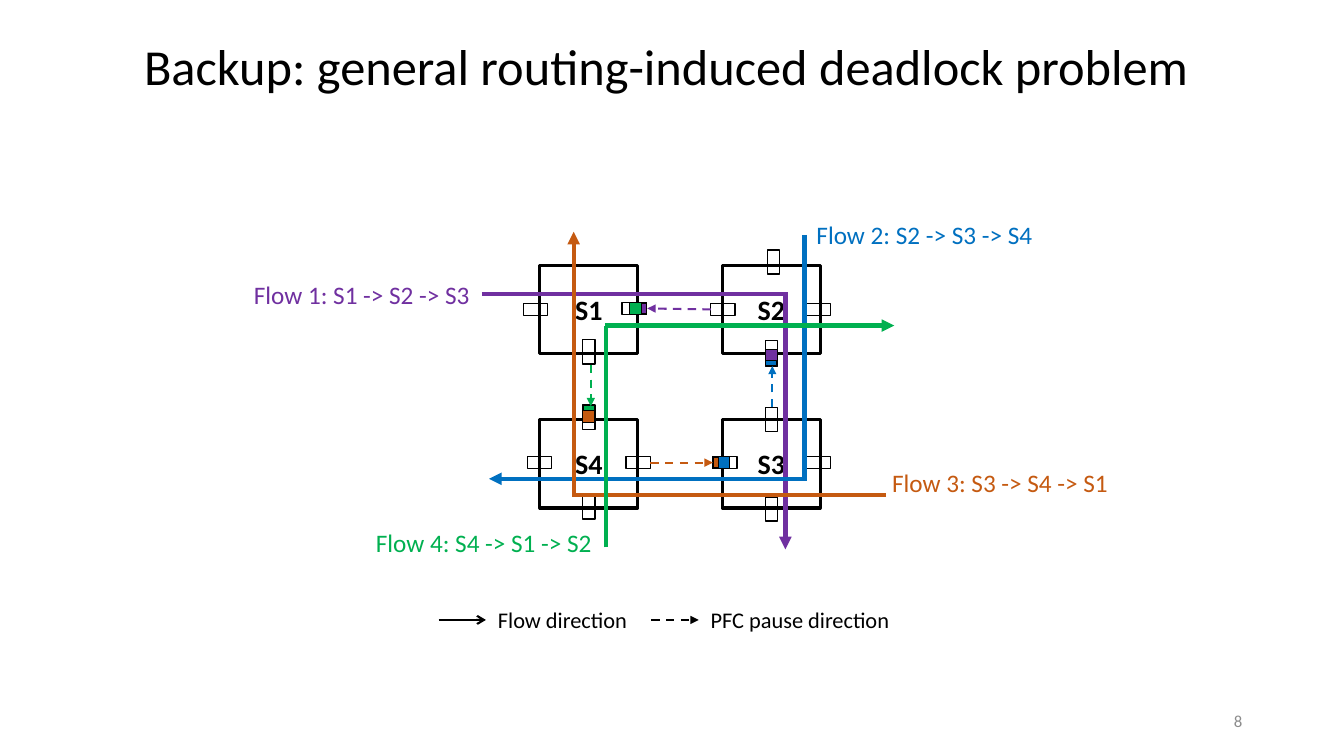
from pptx import Presentation
from pptx.dml.color import RGBColor
from pptx.enum.dml import MSO_LINE
from pptx.enum.shapes import MSO_CONNECTOR, MSO_SHAPE
from pptx.enum.text import MSO_ANCHOR, PP_ALIGN
from pptx.oxml.ns import qn
from pptx.util import Inches, Pt
from lxml.etree import SubElement

BLACK = RGBColor(0x00, 0x00, 0x00)
GRAY = RGBColor(0x8C, 0x8C, 0x8C)
PURPLE = RGBColor(0x70, 0x30, 0xA0)
BLUE = RGBColor(0x00, 0x70, 0xC0)
ORANGE = RGBColor(0xC5, 0x5A, 0x11)
GREEN = RGBColor(0x00, 0xB0, 0x50)


class Diagram:
    font_name = "Calibri"

    def __init__(self, slide):
        self.slide = slide

    def set_text(self, frame, text, size, color=BLACK, align=PP_ALIGN.LEFT,
                 anchor=MSO_ANCHOR.TOP, bold=False, wrap=False):
        frame.text = text
        for name, value in {"word_wrap": wrap, "vertical_anchor": anchor}.items():
            setattr(frame, name, value)
        paragraph = frame.paragraphs[0]
        paragraph.alignment = align
        font = paragraph.runs[0].font
        for name, value in {"name": self.font_name, "size": Pt(size), "bold": bold}.items():
            setattr(font, name, value)
        font.color.rgb = color

    def title(self, text, left, top, width, height):
        heading = self.slide.shapes.title
        bounds = {"left": left, "top": top, "width": width, "height": height}
        for name, value in bounds.items():
            setattr(heading, name, Inches(value))
        self.set_text(heading.text_frame, text, 36, align=PP_ALIGN.CENTER, wrap=True)

    def label(self, text, left, top, width, height, size, color=BLACK, **style):
        box = self.slide.shapes.add_textbox(*map(Inches, (left, top, width, height)))
        self.set_text(box.text_frame, text, size, color, **style)

    def box(self, center, size, weight=1, fill=None):
        (x, y), (width, height) = center, size
        shape = self.slide.shapes.add_shape(
            MSO_SHAPE.RECTANGLE, Inches(x - width / 2), Inches(y - height / 2),
            Inches(width), Inches(height))
        shape.shadow.inherit = False
        shape.line.color.rgb = BLACK
        shape.line.width = Pt(weight)
        if fill is None:
            shape.fill.background()
        else:
            shape.fill.solid()
            shape.fill.fore_color.rgb = fill
        return shape

    def switch(self, name, center):
        shape = self.box(center, (0.97, 0.88), 2.25)
        self.set_text(shape.text_frame, name, 20, align=PP_ALIGN.CENTER,
                      anchor=MSO_ANCHOR.MIDDLE, bold=True)

    def line(self, start, end, color, weight, arrow=None, dashed=False):
        connector = self.slide.shapes.add_connector(
            MSO_CONNECTOR.STRAIGHT, *map(Inches, (*start, *end)))
        connector.line.color.rgb = color
        connector.line.width = Pt(weight)
        if dashed:
            connector.line.dash_style = MSO_LINE.DASH
        properties = connector._element.spPr
        if arrow:
            SubElement(properties.find(qn("a:ln")), qn("a:tailEnd"), type=arrow)
        SubElement(properties, qn("a:effectLst"))


presentation = Presentation()
presentation.slide_width = Inches(13.33)
presentation.slide_height = Inches(7.5)
diagram = Diagram(presentation.slides.add_slide(presentation.slide_layouts[5]))

diagram.title("Backup: general routing-induced deadlock problem", 0.55, 0.3, 12.12, 0.71)
diagram.label("8", 9.42, 6.95, 3, 0.4, 12, GRAY, align=PP_ALIGN.RIGHT,
              anchor=MSO_ANCHOR.MIDDLE, wrap=True)

switches = {"S1": (5.84, 3.07), "S2": (7.65, 3.07), "S3": (7.65, 4.6), "S4": (5.84, 4.6)}
for switch_name, switch_center in switches.items():
    diagram.switch(switch_name, switch_center)

ACROSS, UPRIGHT = (0.24, 0.12), (0.12, 0.24)
ports = {
    ACROSS: [(5.31, 3.07), (6.29, 3.06), (7.17, 3.07), (8.12, 3.07),
             (5.35, 4.59), (6.33, 4.59), (7.19, 4.59), (8.12, 4.59)],
    UPRIGHT: [(5.84, 3.49), (7.67, 2.6), (7.65, 3.5), (5.84, 4.14),
              (5.84, 5.03), (7.65, 4.16), (7.65, 5.05)],
}
for port_size, port_centers in ports.items():
    for port_center in port_centers:
        diagram.box(port_center, port_size)

flows = [
    ("Flow 1: S1 -> S2 -> S3", (2.42, 2.72), PURPLE,
     ((4.78, 2.92), (7.79, 2.92)), ((7.79, 2.9), (7.79, 5.45))),
    ("Flow 2: S2 -> S3 -> S4", (8, 2.13), BLUE,
     ((7.98, 2.33), (7.98, 4.77)), ((7.98, 4.75), (4.85, 4.75))),
    ("Flow 3: S3 -> S4 -> S1", (8.75, 4.59), ORANGE,
     ((8.79, 4.91), (5.67, 4.91)), ((5.69, 4.91), (5.69, 2.3))),
    ("Flow 4: S4 -> S1 -> S2", (3.63, 5.18), GREEN,
     ((6.01, 5.43), (6.01, 3.23)), ((6, 3.23), (8.87, 3.23))),
]
for flow_name, label_corner, flow_color, entry, departure in flows:
    diagram.label(flow_name, *label_corner, 2.37, 0.4, 18, flow_color)
    diagram.line(*entry, flow_color, 3)
    diagram.line(*departure, flow_color, 3, "triangle")

queues = [
    ((6.33, 3.06), GREEN, (6.39, 3.06), PURPLE, True),
    ((7.65, 3.55), PURPLE, (7.65, 3.6), BLUE, False),
    ((7.15, 4.59), BLUE, (7.1, 4.59), ORANGE, True),
    ((5.84, 4.11), ORANGE, (5.84, 4.05), GREEN, False),
]
for buffer_center, buffer_color, tip_center, tip_color, sideways in queues:
    step = -1 if sideways else 1
    diagram.box(buffer_center, (0.12, 0.17)[::step], fill=buffer_color)
    diagram.box(tip_center, (0.11, 0.05)[::step], fill=tip_color)

pauses = [
    ((7.05, 3.07), (6.42, 3.06), PURPLE),
    ((7.66, 4.04), (7.66, 3.63), BLUE),
    ((6.45, 4.59), (7.07, 4.59), ORANGE),
    ((5.86, 3.62), (5.86, 4.03), GREEN),
]
for sender, receiver, pause_color in pauses:
    diagram.line(sender, receiver, pause_color, 1.5, "triangle", dashed=True)

legend = [("Flow direction", 4.35, 1.5, "arrow", False),
          ("PFC pause direction", 6.46, 2, "triangle", True)]
for meaning, key_left, meaning_width, arrow_kind, is_dashed in legend:
    diagram.line((key_left, 6.15), (key_left + 0.47, 6.15), BLACK, 1.5, arrow_kind, is_dashed)
    diagram.label(meaning, key_left + 0.49, 5.96, meaning_width, 0.37, 16)

presentation.save("out.pptx")
